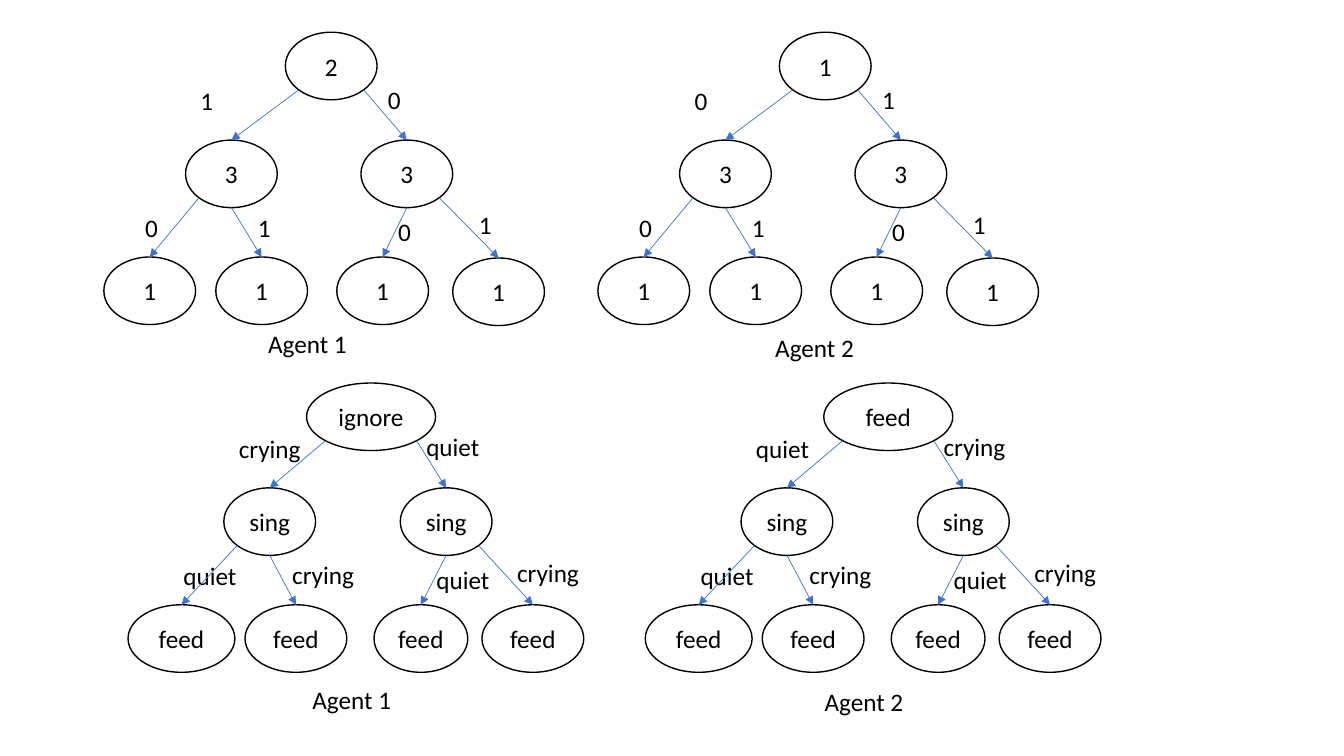
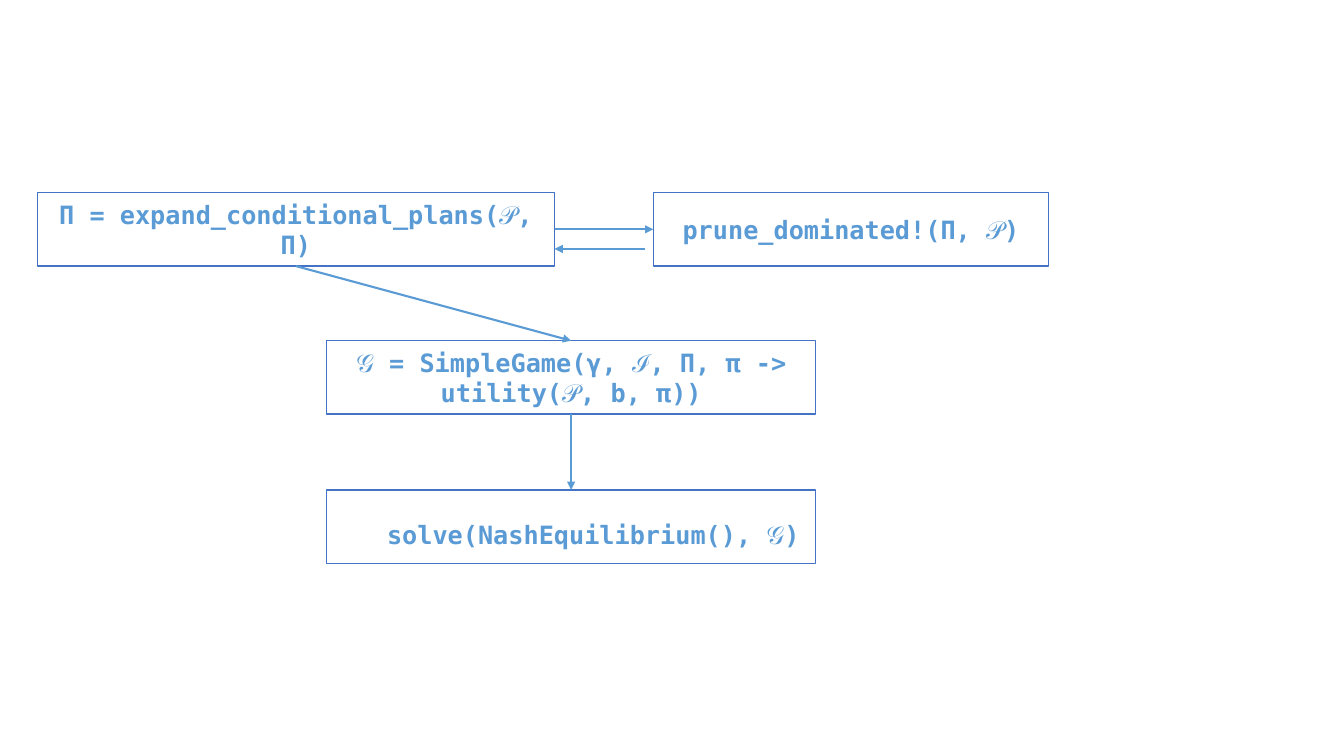
"""Build two slides: conditional plan trees for two agents, and a solver flow chart."""
import lxml.etree
import pptx
import pptx.dml.color
import pptx.enum.shapes
import pptx.enum.text
import pptx.oxml.ns
import pptx.util
import math

Inches = pptx.util.Inches
Pt = pptx.util.Pt
SHAPE = pptx.enum.shapes.MSO_SHAPE
ALIGN = pptx.enum.text.PP_ALIGN

BLACK, WHITE, BLUE, SKY = "000000", "FFFFFF", "4472C4", "5B9BD5"
TREE_FONT = {"name": "Calibri", "size": Pt(18)}
CODE_FONT = {"name": "DejaVu Sans Mono", "size": Pt(18), "bold": True}
CENTRED = {"alignment": ALIGN.CENTER}
CODE_LINE = {"alignment": ALIGN.LEFT, "line_spacing": 1.5, "space_after": Pt(8)}

NODE_HEIGHT = 0.67
EDGES = [(0, 1, -1), (0, 2, 1), (1, 3, -1), (1, 4, 0), (2, 5, 0), (2, 6, 1)]

NUMBER_LAYOUT = {
    "nodes": [(2.83, 0.32, 0.91), (1.84, 1.39, 0.91), (3.58, 1.39, 0.91),
              (1.03, 2.55, 0.91), (2.14, 2.55, 0.91), (3.34, 2.55, 0.91),
              (4.49, 2.56, 0.91)],
    "labels": [(1.89, 0.8, 0.96, 0.4), (3.75, 0.79, 1.2, 0.4),
               (1.34, 2.06, 0.74, 0.71), (2.46, 2.06, 0.4, 0.4),
               (3.85, 2.1, 0.94, 0.4), (4.65, 2.03, 0.98, 0.4)],
}
WORD_LAYOUT = {
    "nodes": [(3.04, 3.8, 1.28), (2.22, 4.84, 0.91), (3.97, 4.84, 0.91),
              (1.27, 6, 1.06), (2.43, 6, 1.01), (3.71, 6, 0.93),
              (4.78, 6, 1.01)],
    "labels": [(2.27, 4.25, 0.96, 0.4), (4.13, 4.23, 1.2, 0.4),
               (1.72, 5.51, 0.74, 0.71), (2.8, 5.5, 1.28, 0.4),
               (4.23, 5.55, 0.94, 0.4), (5.03, 5.48, 0.98, 0.4)],
}
NUMBER_ACTIONS = ["3"] * 2 + ["1"] * 4
WORD_ACTIONS = ["sing"] * 2 + ["feed"] * 4
NUMBER_SIGNALS = ["0", "1", "0", "1"]
WORD_SIGNALS = ["quiet", "crying", "quiet", "crying"]

TREES = [
    (NUMBER_LAYOUT, 0, ["2"] + NUMBER_ACTIONS, ["1", "0"] + NUMBER_SIGNALS),
    (NUMBER_LAYOUT, 4.9, ["1"] + NUMBER_ACTIONS, ["0", "1"] + NUMBER_SIGNALS),
    (WORD_LAYOUT, 0, ["ignore"] + WORD_ACTIONS,
     ["crying", "quiet"] + WORD_SIGNALS),
    (WORD_LAYOUT, 5.13, ["feed"] + WORD_ACTIONS,
     ["quiet", "crying"] + WORD_SIGNALS),
]
CAPTIONS = [("Agent 1", 2.56, 3.21), ("Agent 2", 7.59, 3.25),
            ("Agent 1", 3, 6.74), ("Agent 2", 8.08, 6.76)]


def rgb(value):
    return pptx.dml.color.RGBColor.from_string(value)


def apply_format(target, values):
    for attribute, value in values.items():
        setattr(target, attribute, value)


def write(frame, words, font, colour, paragraph_format):
    paragraph = frame.paragraphs[0]
    apply_format(paragraph, paragraph_format)
    run = paragraph.add_run()
    run.text = words
    apply_format(run.font, font)
    run.font.color.rgb = rgb(colour)
    return paragraph


def add_label(slide, words, box, wrap=True):
    frame = slide.shapes.add_textbox(*map(Inches, box)).text_frame
    apply_format(frame, {
        "word_wrap": wrap,
        "auto_size": pptx.enum.text.MSO_AUTO_SIZE.SHAPE_TO_FIT_TEXT})
    write(frame, words, TREE_FONT, BLACK, {})


def add_outlined(slide, outline, box, colour):
    shape = slide.shapes.add_shape(outline, *map(Inches, box))
    shape.shadow.inherit = False
    shape.fill.solid()
    shape.fill.fore_color.rgb = rgb(WHITE)
    shape.line.color.rgb = rgb(colour)
    shape.line.width = Pt(1)
    return shape


def add_node(slide, words, box):
    node = add_outlined(slide, SHAPE.OVAL, box, BLACK)
    write(node.text_frame, words, TREE_FONT, BLACK, CENTRED)
    return node


def add_step(slide, code, box, paragraph_format=CENTRED, first_indent=0):
    step = add_outlined(slide, SHAPE.RECTANGLE, box, BLUE)
    paragraph = write(step.text_frame, code, CODE_FONT, SKY, paragraph_format)
    if first_indent:
        properties = paragraph._p.get_or_add_pPr()
        properties.set("marL", "0")
        properties.set("indent", str(Inches(first_indent)))
    return step


def add_arrow(slide, start, end, colour, width):
    arrow = slide.shapes.add_connector(
        pptx.enum.shapes.MSO_CONNECTOR.STRAIGHT, *start, *end)
    arrow.line.color.rgb = rgb(colour)
    arrow.line.width = Pt(width)
    qn = pptx.oxml.ns.qn
    lxml.etree.SubElement(
        arrow.line._get_or_add_ln(), qn("a:tailEnd"), type="triangle")
    lxml.etree.SubElement(arrow._element.spPr, qn("a:effectLst"))
    return arrow


def lower_point(node, side):
    """Return the point on a node's rim at its bottom or at 45 degrees to one side."""
    angle = side * math.pi / 4
    x = node.left + node.width / 2 * (1 + math.sin(angle))
    y = node.top + node.height / 2 * (1 + math.cos(angle))
    return round(x), round(y)


def add_tree(slide, layout, shift, actions, signals):
    for signal, (x, *rest) in zip(signals, layout["labels"]):
        add_label(slide, signal, (x + shift, *rest))
    nodes = [add_node(slide, action, (x + shift, y, width, NODE_HEIGHT))
             for action, (x, y, width) in zip(actions, layout["nodes"])]
    for parent, child, side in EDGES:
        start = lower_point(nodes[parent], side)
        arrow = add_arrow(slide, start, start, BLUE, 0.5)
        arrow.end_connect(nodes[child], 0)


def add_flow(slide, source, source_side, target, target_side):
    arrow = add_arrow(slide, (0, 0), (0, 0), SKY, 1.5)
    arrow.begin_connect(source, source_side)
    arrow.end_connect(target, target_side)


def build_trees(slide):
    for tree in TREES:
        add_tree(slide, *tree)
    for agent, x, y in CAPTIONS:
        add_label(slide, agent, (x, y, 0.99, 0.4), wrap=False)


def build_flow(slide):
    game = add_step(slide, "𝒢 = SimpleGame(γ, ℐ, Π, π -> utility(𝒫, b, π))",
                    (3.24, 3.38, 4.85, 0.73))
    solution = add_step(slide, "solve(NashEquilibrium(), 𝒢)",
                        (3.24, 4.86, 4.85, 0.73), CODE_LINE, 0.5)
    expansion = add_step(slide, "Π = expand_conditional_plans(𝒫, Π)",
                         (0.37, 1.91, 5.13, 0.73))
    pruning = add_step(slide, "prune_dominated!(Π, 𝒫)",
                       (6.48, 1.91, 3.92, 0.73))
    add_flow(slide, game, 2, solution, 0)
    add_flow(slide, expansion, 2, game, 0)
    add_flow(slide, expansion, 3, pruning, 1)
    add_arrow(slide, (Inches(6.4), Inches(2.47)),
              (Inches(5.5), Inches(2.47)), SKY, 1.5)


def main():
    deck = pptx.Presentation()
    apply_format(deck, {"slide_width": Inches(13.33),
                        "slide_height": Inches(7.5)})
    for build in (build_trees, build_flow):
        build(deck.slides.add_slide(deck.slide_layouts[6]))
    deck.save("out.pptx")


if __name__ == "__main__":
    main()
